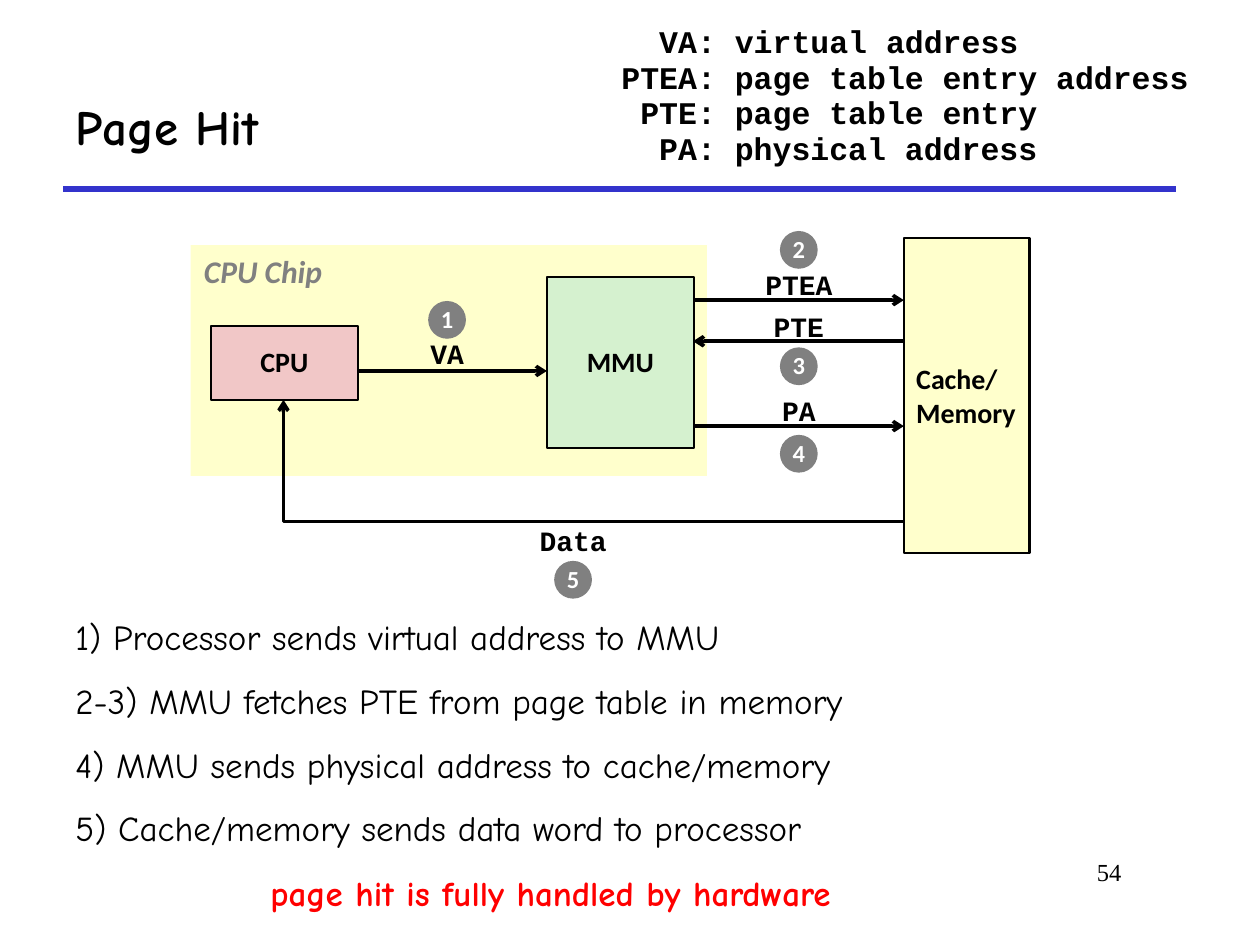
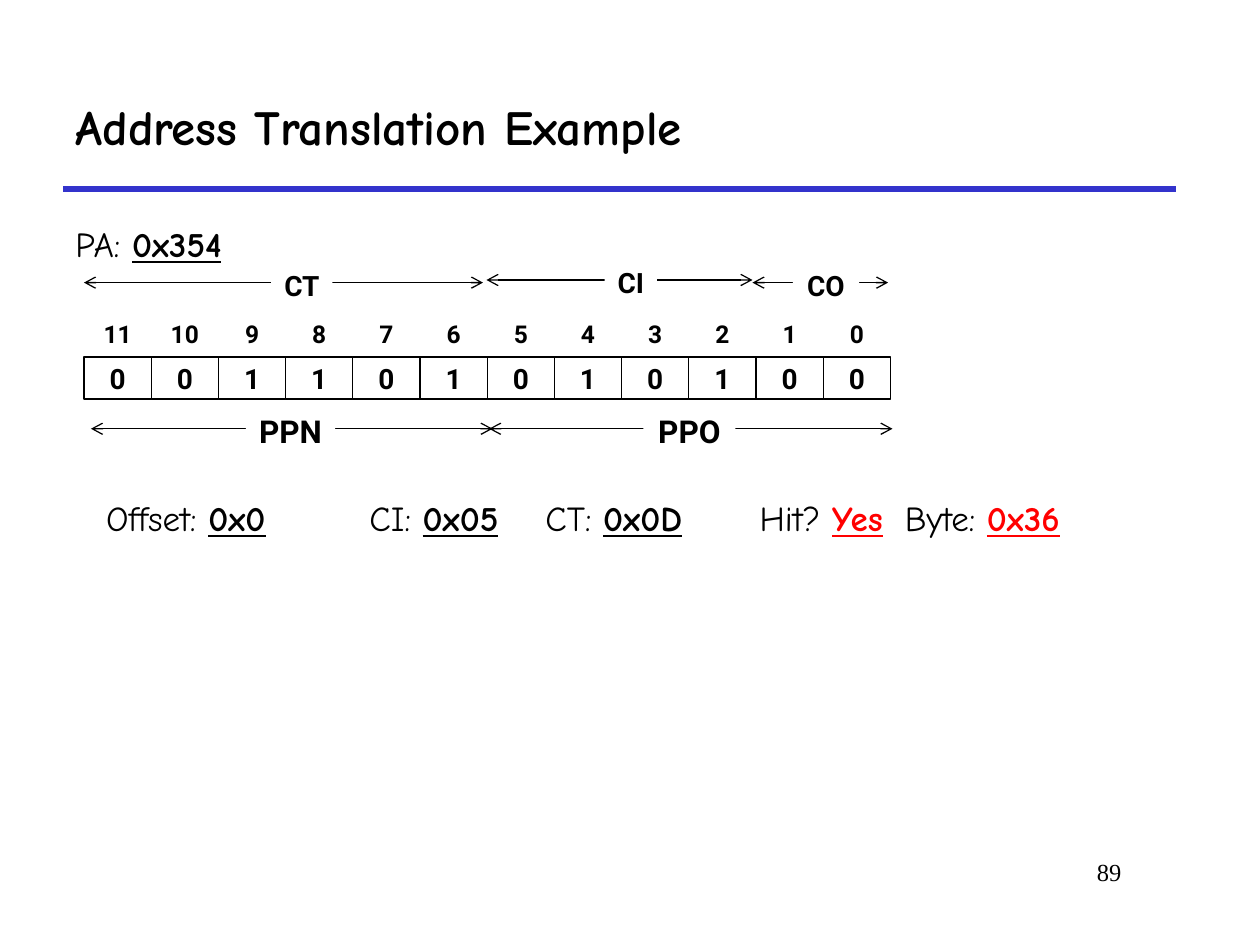
from lxml import etree
from pptx import Presentation
from pptx.dml.color import RGBColor
from pptx.enum import shapes, text
from pptx.oxml.ns import qn
from pptx.util import Pt

BLACK = RGBColor(0, 0, 0)
WHITE = RGBColor(255, 255, 255)
RED = RGBColor(255, 0, 0)
GRAY = RGBColor(0x80, 0x80, 0x80)
RULE_BLUE = RGBColor(0x33, 0x33, 0xCC)
PALE_YELLOW = RGBColor(0xFF, 0xFF, 0xCC)
PALE_GREEN = RGBColor(0xD5, 0xF1, 0xCF)
PALE_RED = RGBColor(0xF1, 0xC7, 0xC7)

LEFT, CENTER, RIGHT = text.PP_ALIGN.LEFT, text.PP_ALIGN.CENTER, text.PP_ALIGN.RIGHT
TOP, MIDDLE = text.MSO_ANCHOR.TOP, text.MSO_ANCHOR.MIDDLE
RECTANGLE, OVAL = shapes.MSO_SHAPE.RECTANGLE, shapes.MSO_SHAPE.OVAL

TITLE = {"name": "Comic Neue", "size": Pt(28), "bold": True}
BODY = {"name": "Comic Neue", "size": Pt(20), "bold": False}
ANSWER = BODY | {"bold": True, "underline": True}
RED_ANSWER = ANSWER | {"color": RED}
FOOTER = {"name": "Times New Roman", "size": Pt(14)}
LEGEND = {"name": "Courier New", "size": Pt(18), "bold": True}
SIGNAL = LEGEND | {"size": Pt(16)}
UNIT = {"name": "Calibri", "size": Pt(16), "bold": True}
CHIP = UNIT | {"size": Pt(18), "italic": True, "color": GRAY}
STEP_NUMBER = UNIT | {"size": Pt(14), "color": WHITE}
BIT = {"name": "Roboto", "size": Pt(16), "bold": True}
BIT_INDEX = BIT | {"size": Pt(14)}
COURIER_ADVANCE = 0.6  # character width as a share of the font size


def set_format(target, values):
    for name, value in values.items():
        setattr(target, name, value)


def add_run(paragraph, content, style):
    run = paragraph.add_run()
    run.text = content
    values = dict(style)
    run.font.color.rgb = values.pop("color", BLACK)
    set_format(run.font, values)


def write(shape, lines, style, align=LEFT, anchor=TOP, wrap=True, spacing=1, before=0):
    """Fill a shape with lines; a line is a string or a list of (text, style) runs."""
    frame = shape.text_frame
    set_format(frame, {"word_wrap": wrap, "vertical_anchor": anchor,
                       "auto_size": text.MSO_AUTO_SIZE.NONE})
    for index, line in enumerate(lines):
        paragraph = frame.add_paragraph() if index else frame.paragraphs[0]
        set_format(paragraph, {"alignment": align, "line_spacing": spacing,
                               "space_before": Pt(before if index else 0),
                               "space_after": Pt(0)})
        for content, run_style in [(line, style)] if isinstance(line, str) else line:
            add_run(paragraph, content, run_style)
    return frame.paragraphs


def add_text(slide, box, lines, style, **layout):
    return write(slide.shapes.add_textbox(*map(Pt, box)), lines, style, **layout)


def add_box(slide, box, fill=None, line=None, kind=RECTANGLE):
    shape = slide.shapes.add_shape(kind, *map(Pt, box))
    shape.shadow.inherit = False
    if fill is None:
        shape.fill.background()
    else:
        shape.fill.solid()
        shape.fill.fore_color.rgb = fill
    if line is None:
        shape.line.fill.background()
    else:
        set_line(shape, BLACK, line)
    return shape


def set_line(shape, color, width, ends=()):
    """Style a line; ends holds headEnd and tailEnd for its arrowheads."""
    shape.line.color.rgb = color
    shape.line.width = Pt(width)
    outline = shape._element.spPr.find(qn("a:ln"))
    for end in ends:
        etree.SubElement(outline, qn("a:" + end), type="arrow")


def add_line(slide, start, end, color=BLACK, width=2, ends=("tailEnd",)):
    connector = slide.shapes.add_connector(
        shapes.MSO_CONNECTOR.STRAIGHT, *map(Pt, (*start, *end)))
    set_line(connector, color, width, ends)
    etree.SubElement(connector._element.spPr, qn("a:effectLst"))


def add_titled_slide(presentation, title, number):
    slide = presentation.slides.add_slide(presentation.slide_layouts[5])
    add_line(slide, (36, 108), (672, 108), RULE_BLUE, 3, ())
    add_text(slide, (546, 486, 102, 36), [number], FOOTER, align=RIGHT)
    set_format(slide.shapes.title, {"left": Pt(36), "top": Pt(36),
                                    "width": Pt(636), "height": Pt(72)})
    write(slide.shapes.title, [title], TITLE, anchor=MIDDLE)
    return slide


def add_legend(slide, box):
    """Abbreviations, indented so that their colons line up."""
    meanings = {"VA": "virtual address", "PTEA": "page table entry address",
                "PTE": "page table entry", "PA": "physical address"}
    lines = [f"{name}: {meaning}" for name, meaning in meanings.items()]
    paragraphs = add_text(slide, box, lines, LEGEND, spacing=0.5, before=9.5)
    widest = max(map(len, meanings))
    for paragraph, name in zip(paragraphs, meanings):
        indent = (widest - len(name)) * COURIER_ADVANCE * LEGEND["size"]
        paragraph._p.get_or_add_pPr().set("marL", str(round(indent)))


def add_page_hit_diagram(slide, left, top):
    def place(x, y, *size):
        return left + x, top + y, *size

    centered = {"align": CENTER, "anchor": MIDDLE, "wrap": False, "spacing": 0.98}
    add_box(slide, place(0, 8, 295, 132), PALE_YELLOW)
    add_text(slide, place(0.5, 8.5, 83.5, 29), ["CPU Chip"], CHIP, wrap=False)
    for name, box, fill in (("MMU", (203.5, 26.5, 84, 97.5), PALE_GREEN),
                            ("CPU", (11.5, 54.5, 84, 42), PALE_RED)):
        write(add_box(slide, place(*box), fill, 1), [name], UNIT, **centered)
    memory = add_box(slide, place(407.5, 4, 72, 180), PALE_YELLOW, 1.5)
    write(memory, ["Cache/", "Memory"], UNIT, anchor=MIDDLE, wrap=False)

    for start_x, end_x, y in ((95.5, 203.5, 80), (287, 407.5, 39.5),
                              (407.5, 287, 63), (287, 407.5, 111.5)):
        add_line(slide, place(start_x, y), place(end_x, y))

    data_route = [tuple(map(Pt, place(*point)))
                  for point in ((407.5, 166), (53, 166), (53, 96.5))]
    builder = slide.shapes.build_freeform(*data_route[0])
    builder.add_line_segments(data_route[1:], close=False)
    data_arrow = builder.convert_to_shape()
    data_arrow.shadow.inherit = False
    data_arrow.fill.background()
    set_line(data_arrow, BLACK, 2, ("tailEnd",))

    diameter = 21.6
    steps = (("VA", 146.5, 57.5, 40), ("PTEA", 347.5, 18, 0), ("PTE", 347.5, 42, 66.5),
             ("PA", 347.5, 90, 116.5), ("Data", 218.5, 164.5, 188.5))
    for number, (name, center, label_y, circle_y) in enumerate(steps, 1):
        width = 14.4 + 9.6 * len(name)
        add_text(slide, place(center - width / 2, label_y, width, 26.5),
                 [name], SIGNAL, **centered)
        circle = add_box(slide, place(center - diameter / 2, circle_y, diameter, diameter),
                         GRAY, kind=OVAL)
        write(circle, [str(number)], STEP_NUMBER, **centered)


def add_address_bits(slide, left, top, bits):
    """Numbered bit cells between the cache fields and the page fields."""
    pitch = 38.4
    centered = {"align": CENTER, "anchor": MIDDLE, "wrap": False}
    for column, bit in enumerate(bits):
        x = left + column * pitch
        add_text(slide, (x, top + 29.5, pitch, 24), [str(len(bits) - 1 - column)],
                 BIT_INDEX, spacing=0.9, **centered)
        write(add_box(slide, (x, top + 54, pitch, 24), line=0.75), [bit], BIT, **centered)

    fields = (("PPO", 231.5, 462, 95, 346, 52.5, 18), ("PPN", 4, 233.5, 95, 118, 51, 18),
              ("CO", 382, 459.5, 11.5, 424, 38, 16), ("CI", 230, 382, 10, 312.5, 30, 16),
              ("CT", 0, 228, 11.5, 124.5, 35, 16))
    for name, start, end, y, center, width, size in fields:
        add_line(slide, (left + start, top + y), (left + end, top + y),
                 width=0.75, ends=("headEnd", "tailEnd"))
        label = add_box(slide, (left + center - width / 2, top + y - 0.6 * size,
                                width, 1.5 * size), WHITE)
        write(label, [name], BIT | {"size": Pt(size)}, align=CENTER, wrap=False, spacing=0.9)


def add_cache_answers(slide, box):
    """Answers on one line, each starting at a tab stop."""
    answers = (("Offset: ", "0x0", ANSWER), ("CI: ", "0x05", ANSWER),
               ("CT: ", "0x0D", ANSWER), ("Hit? ", "Yes", RED_ANSWER),
               ("Byte: ", "0x36", RED_ANSWER))
    runs = []
    for index, (question, answer, style) in enumerate(answers):
        runs += [("\t" * bool(index) + question, BODY), (answer, style)]
    paragraph = add_text(slide, box, [runs], BODY, spacing=0.9)[0]
    tabs = etree.SubElement(paragraph._p.get_or_add_pPr(), qn("a:tabLst"))
    for stop in (150.5, 251, 373.5, 456.5):
        etree.SubElement(tabs, qn("a:tab"), pos=str(Pt(stop)), algn="l")


def build_page_hit(presentation):
    slide = add_titled_slide(presentation, "Page Hit", "54")
    add_legend(slide, (348, 18.5, 359, 83.5))
    add_page_hit_diagram(slide, 109, 132)
    steps = ["1) Processor sends virtual address to MMU",
             "2-3) MMU fetches PTE from page table in memory",
             "4) MMU sends physical address to cache/memory",
             "5) Cache/memory sends data word to processor"]
    add_text(slide, (36, 348, 534, 162), steps, BODY, before=12.5)
    add_text(slide, (147.5, 494.5, 380, 31), ["page hit is fully handled by hardware"],
             BODY | {"bold": True, "color": RED})


def build_address_translation(presentation):
    slide = add_titled_slide(presentation, "Address Translation Example", "89")
    add_text(slide, (36, 114, 112, 41), [[("PA: ", BODY), ("0x354", ANSWER)]],
             BODY, spacing=1.4)
    add_address_bits(slide, 48, 150, "001101010100")
    add_cache_answers(slide, (53.5, 283, 574, 29))


def main():
    presentation = Presentation()
    set_format(presentation, {"slide_width": Pt(720), "slide_height": Pt(540)})
    build_page_hit(presentation)
    build_address_translation(presentation)
    presentation.save("out.pptx")


if __name__ == "__main__":
    main()
